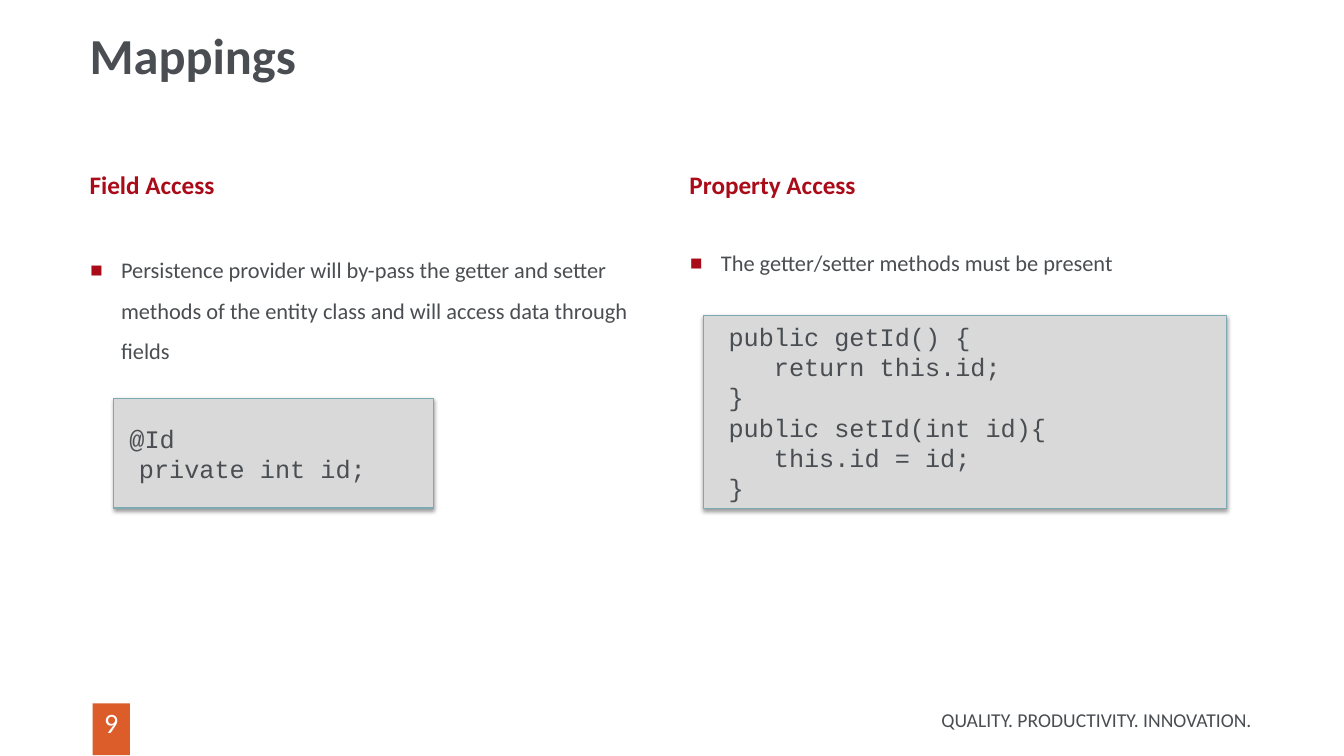
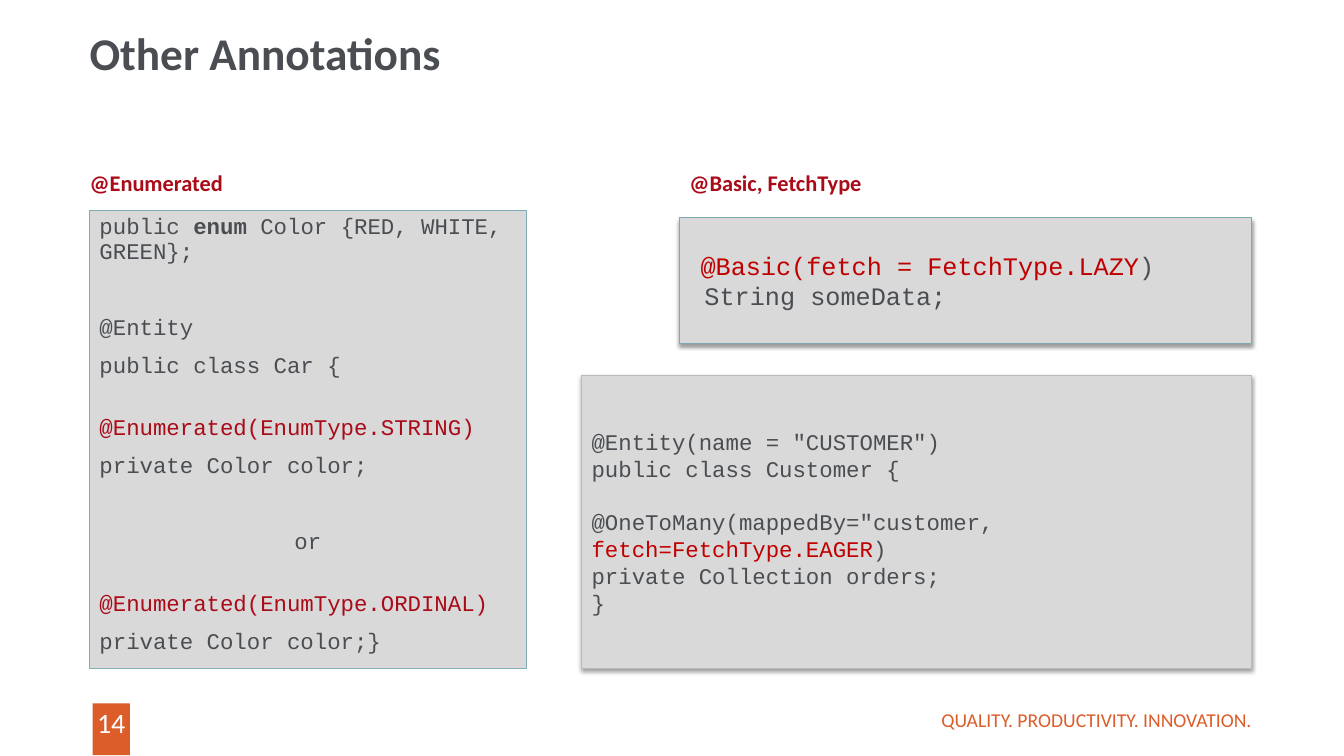
from dataclasses import dataclass

from lxml import etree
from pptx import Presentation
from pptx.dml.color import RGBColor
from pptx.enum.shapes import MSO_SHAPE
from pptx.enum.text import MSO_ANCHOR, MSO_AUTO_SIZE, PP_ALIGN
from pptx.oxml import parse_xml
from pptx.oxml.ns import qn
from pptx.util import Pt

RECTANGLE = MSO_SHAPE.RECTANGLE
TOP, MIDDLE = MSO_ANCHOR.TOP, MSO_ANCHOR.MIDDLE
LEFT, CENTER, RIGHT = PP_ALIGN.LEFT, PP_ALIGN.CENTER, PP_ALIGN.RIGHT
NO_AUTOFIT = MSO_AUTO_SIZE.NONE


@dataclass(frozen=True)
class Theme:
    text: str = "4A4E52"
    heading: str = "AA0B19"
    keyword: str = "C00000"
    accent: str = "DC5D2A"
    white: str = "FFFFFF"
    code_fill: str = "D9D9D9"
    code_line: str = "7DAAB2"
    pale_line: str = "81ADB5"
    grey_line: str = "B9BABC"
    font: str = "Calibri"
    code_font: str = "Courier New"
    number_size: float = 20
    large_size: float = 18
    body_size: float = 16
    footer_size: float = 14


theme = Theme()

SHADOW = (
    '<a:effectLst xmlns:a="http://schemas.openxmlformats.org/drawingml/2006/main">'
    '<a:outerShdw blurRad="39370" dist="20320" dir="5400000" rotWithShape="0">'
    '<a:srgbClr val="000000"><a:alpha val="38000"/></a:srgbClr>'
    "</a:outerShdw></a:effectLst>"
)


def write(text_frame, text, size=theme.body_size, font=theme.font, color=theme.text, bold=False,
          align=LEFT, spacing=1.0, before=0, indent=0, hanging=0, bullet=None):
    paragraph = text_frame.add_paragraph() if text_frame.text else text_frame.paragraphs[0]
    paragraph.alignment = align
    paragraph.line_spacing = spacing
    paragraph.space_before = Pt(before)
    paragraph.space_after = Pt(0)
    properties = paragraph._p.get_or_add_pPr()
    properties.set("marL", str(Pt(indent)))
    properties.set("indent", str(-Pt(hanging)))
    if bullet:
        bullet_color = etree.SubElement(properties, qn("a:buClr"))
        etree.SubElement(bullet_color, qn("a:srgbClr"), val=theme.heading)
        etree.SubElement(properties, qn("a:buSzPct"), val="175000")
        etree.SubElement(properties, qn("a:buFont"), typeface=theme.font)
        etree.SubElement(properties, qn("a:buChar"), char=bullet)
    else:
        etree.SubElement(properties, qn("a:buNone"))
    pieces = [(text, {})] if isinstance(text, str) else text
    for content, changes in pieces:
        run = paragraph.add_run()
        run.text = content
        run.font.name = font
        run.font.size = Pt(size)
        run.font.bold = changes.get("bold", bold)
        run.font.color.rgb = RGBColor.from_string(changes.get("color", color))


def prepare(shape, box, anchor=TOP, insets=(7.2, 3.6, 7.2, 3.6)):
    shape.left, shape.top, shape.width, shape.height = map(Pt, box)
    text_frame = shape.text_frame
    text_frame.word_wrap = True
    text_frame.auto_size = NO_AUTOFIT
    text_frame.vertical_anchor = anchor
    (text_frame.margin_left, text_frame.margin_top,
     text_frame.margin_right, text_frame.margin_bottom) = map(Pt, insets)
    return text_frame


FLUSH = (0, 3.6, 7.2, 3.6)
NONE = (0, 0, 0, 0)
COLUMNS = [((64, 119.5, 409, 371), FLUSH), ((485.3, 119.5, 409, 371), (7.2, 3.6, 7.2, 3.6))]

RED = {"color": theme.heading}
KEYWORD = {"color": theme.keyword}
TIGHT = {"spacing": 0.9, "before": 10}
AFTER_LINE = {"spacing": 0.9, "before": 27}
AFTER_GAP = {"spacing": 0.9, "before": 37}

SLIDES = [
    {
        "title": "Mappings", "title_size": 36, "title_height": 85.7,
        "number": "9", "footer_color": theme.text, "heading_size": theme.large_size,
        "columns": [
            ("Field Access", "Persistence provider will by-pass the getter and setter methods "
             "of the entity class and will access data through fields", 31),
            ("Property Access", "The getter/setter methods must be present", 26),
        ],
        "code": [
            {"box": (81.4, 284.4, 228.2, 78.5), "line": theme.code_line, "size": theme.large_size,
             "lines": [("@Id", {"indent": 4}), ("private int id;", {"indent": 10.8})]},
            {"box": (502.5, 225.4, 373.7, 137.5), "line": theme.code_line, "size": theme.large_size,
             "lines": [("public getId() {", {"indent": 10.8}),
                       ("return this.id;", {"indent": 43.2}),
                       ("}", {"indent": 10.8}),
                       ("public setId(int id){", {"indent": 10.8}),
                       ("this.id = id;", {"indent": 43.2}),
                       ("}", {"indent": 10.8})]},
        ],
    },
    {
        "title": "Other Annotations", "title_size": 32.4, "title_height": 45.4,
        "number": "14", "footer_color": theme.accent, "heading_size": theme.body_size,
        "columns": [("@Enumerated", None, 0), ("@Basic, FetchType", None, 0)],
        "code": [
            {"box": (64, 150.5, 311.8, 327), "line": theme.pale_line, "size": theme.body_size,
             "line_width": 0.5, "anchor": TOP, "shadow": False,
             "lines": [([("public ", {}), ("enum", {"bold": True}),
                         (" Color {RED, WHITE, GREEN};", {})], TIGHT),
                       ("@Entity", AFTER_GAP),
                       ("public class Car {", TIGHT),
                       ([("@Enumerated(EnumType.STRING)", RED)], AFTER_LINE),
                       ("private Color color;", TIGHT),
                       ("or", {**AFTER_GAP, "align": CENTER}),
                       ([("@Enumerated(EnumType.ORDINAL)", RED)], AFTER_LINE),
                       ("private Color color;}", TIGHT)]},
            {"box": (485.3, 155.5, 409, 90), "line": theme.code_line, "size": theme.large_size,
             "lines": [([("@Basic(fetch = FetchType.LAZY", KEYWORD), (")", {})], {"indent": 8}),
                       ("String someData;", {"indent": 10.8})]},
            {"box": (415.5, 268, 478.8, 209.5), "line": theme.grey_line, "size": theme.body_size,
             "lines": [('@Entity(name = "CUSTOMER")', {}),
                       ("public class Customer {", {}),
                       ([('@OneToMany(mappedBy="customer, ', {}),
                         ("fetch=FetchType.EAGER", KEYWORD), (")", {})], {"before": 19}),
                       ("private Collection orders;", {}),
                       ("}", {})]},
        ],
    },
]

presentation = Presentation()
presentation.slide_width, presentation.slide_height = Pt(960), Pt(540)
two_content = presentation.slide_layouts[3]

for content in SLIDES:
    slide = presentation.slides.add_slide(two_content)

    title = prepare(slide.shapes.title, (64, 18.7, 670, content["title_height"]), insets=FLUSH)
    write(title, content["title"], size=content["title_size"], bold=True, spacing=0.9)

    for index, (box, insets) in enumerate(COLUMNS):
        heading, point, gap = content["columns"][index]
        body = prepare(slide.placeholders[index + 1], box, insets=insets)
        write(body, heading, size=content["heading_size"], color=theme.heading, bold=True, **TIGHT)
        if point:
            write(body, point, spacing=1.5, before=gap, indent=22.5, hanging=22.5, bullet="▪")

    band = slide.shapes.add_shape(RECTANGLE, Pt(66.2), Pt(502.5), Pt(26.6), Pt(37))
    band.shadow.inherit = False
    band.fill.solid()
    band.fill.fore_color.rgb = RGBColor.from_string(theme.accent)
    band.line.fill.background()
    number = prepare(band, (66.2, 502.5, 26.6, 37), insets=(0, 1.5, 0, 0))
    write(number, content["number"], size=theme.number_size, color=theme.white, align=CENTER)

    footer_box = slide.shapes.add_textbox(0, 0, 0, 0)
    footer = prepare(footer_box, (601.2, 499.7, 293, 28.8), anchor=MIDDLE, insets=NONE)
    write(footer, "QUALITY. PRODUCTIVITY. INNOVATION.", size=theme.footer_size,
          color=content["footer_color"], align=RIGHT)

    for code in content["code"]:
        panel = slide.shapes.add_shape(RECTANGLE, 0, 0, 0, 0)
        panel.fill.solid()
        panel.fill.fore_color.rgb = RGBColor.from_string(theme.code_fill)
        panel.line.color.rgb = RGBColor.from_string(code["line"])
        panel.line.width = Pt(code.get("line_width", 0.75))
        if code.get("shadow", True):
            panel._element.spPr.append(parse_xml(SHADOW))
        else:
            panel.shadow.inherit = False
        listing = prepare(panel, code["box"], anchor=code.get("anchor", MIDDLE))
        for text, layout in code["lines"]:
            write(listing, text, size=code["size"], font=theme.code_font, **layout)

presentation.save("out.pptx")
